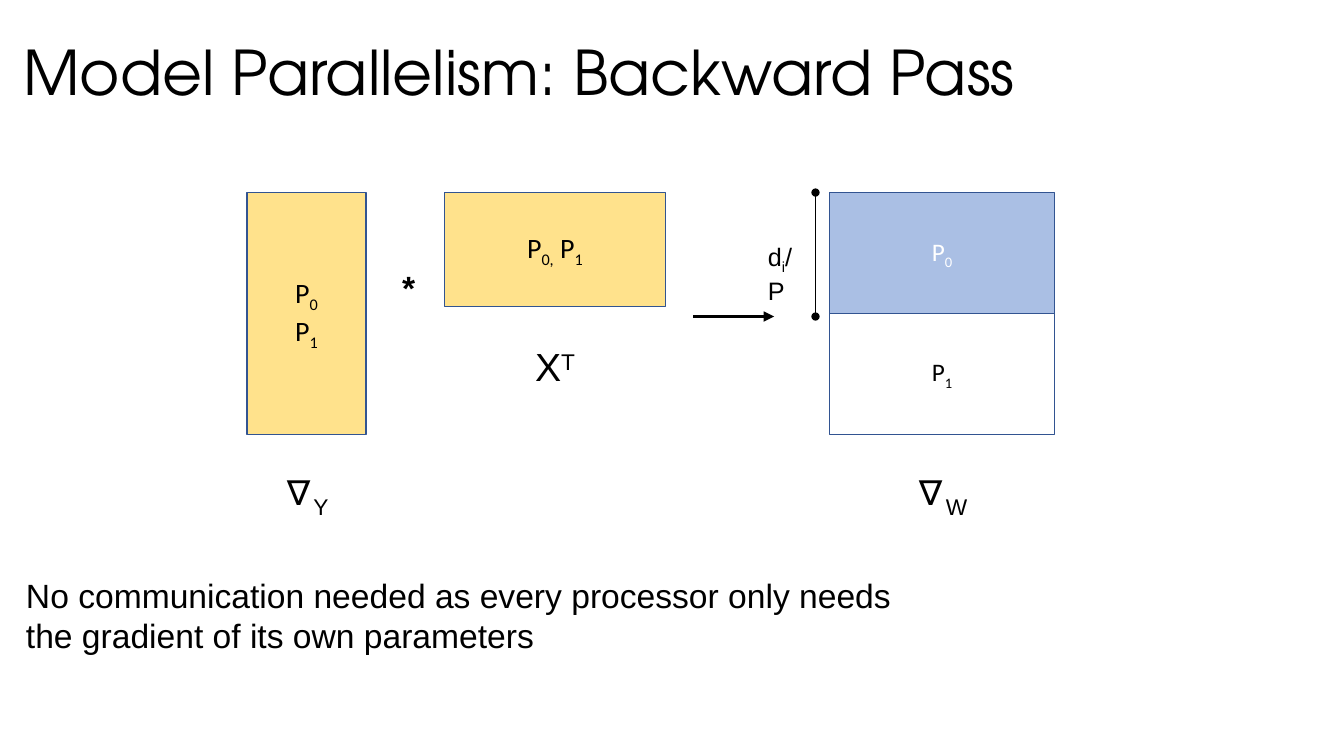
import pptx
import pptx.util
import pptx.dml.color
import pptx.enum.shapes
import pptx.enum.text
import pptx.oxml
import pptx.oxml.ns
from lxml import etree

BLACK, WHITE, YELLOW, BLUE, OUTLINE = "000000", "FFFFFF", "FFC000", "4472C4", "325491"
SUB, SUP = -25, 30

# Content: each paragraph is a list of (text, baseline shift in percent)
TITLE = [[("Model Parallelism: Backward Pass", 0)]]
NOTE = [[("No communication needed as every processor only needs "
          "the gradient of its own parameters", 0)]]
P0 = [("P", 0), ("0", SUB)]
P1 = [("P", 0), ("1", SUB)]
BOTH = [[("P", 0), ("0,", SUB), (" P", 0), ("1", SUB)]]
TIMES = [[("*", 0)]]
SHARE = [[("d", 0), ("i", SUB), ("/P", 0)]]

# Layout, in percent of the slide's width and height
TOP, HEIGHT = 25.47, 32
HALF = HEIGHT / 2
GRAD_Y = (18.38, TOP, 8.85, HEIGHT)
X_T = (33.08, TOP, 16.43, 15.07)
GRAD_W0 = (61.73, TOP, 16.73, HALF)
GRAD_W1 = (61.73, TOP + HALF, 16.73, HALF)
ARROW_Y = 41.87
BRACKET_X = 60.68

# area, paragraphs, size, fill, text colour
MATRICES = [
    (X_T, BOTH, 20, YELLOW, BLACK),
    (GRAD_Y, [P0, P1], 20, YELLOW, BLACK),
    (GRAD_W0, [P0], 18, BLUE, WHITE),
    (GRAD_W1, [P1], 18, None, BLACK),
]
# matrix above, label top, label width, paragraphs
LABELS = [
    (X_T, 44.67, 5.18, [[("X", 0), ("T", SUP)]]),
    (GRAD_Y, 61.07, 5.18, [[("∇", 0), ("Y", SUB)]]),
    (GRAD_W0, 61.07, 6.75, [[("∇", 0), ("W", SUB)]]),
]
LABEL_HEIGHT = 7.6
# start, end, line width, start mark, end mark
LINES = [
    ((51.6, ARROW_Y), (57.6, ARROW_Y), 2.5, None, "triangle"),
    ((BRACKET_X, TOP), (BRACKET_X, ARROW_Y), 0.5, "oval", "oval"),
]

deck = pptx.Presentation()
deck.slide_width = pptx.util.Inches(13.333)
deck.slide_height = pptx.util.Inches(7.5)
slide = deck.slides.add_slide(deck.slide_layouts[6])
CENTER = pptx.enum.text.PP_ALIGN.CENTER
MIDDLE = pptx.enum.text.MSO_ANCHOR.MIDDLE


def color(hex_value):
    return pptx.dml.color.RGBColor.from_string(hex_value)


def across(share):
    return round(deck.slide_width * share / 100)


def down(share):
    return round(deck.slide_height * share / 100)


def place(area):
    left, top, width, height = area
    return across(left), down(top), across(width), down(height)


def sub_element(parent, tag, **attributes):
    return etree.SubElement(parent, pptx.oxml.ns.qn(tag), **attributes)


def write(frame, paragraphs, size, font="Arial", ink=BLACK, align=None, bold=False):
    frame.word_wrap = True
    for number, pieces in enumerate(paragraphs):
        paragraph = frame.paragraphs[0] if number == 0 else frame.add_paragraph()
        paragraph.alignment = align
        for text, shift in pieces:
            run = paragraph.add_run()
            run.text = text
            run.font.size = pptx.util.Pt(size)
            run.font.name = font
            run.font.bold = bold
            run.font.color.rgb = color(ink)
            if shift:
                run.font._element.set("baseline", str(shift * 1000))
    return paragraph


def add_text(area, paragraphs, size, **style):
    frame = slide.shapes.add_textbox(*place(area)).text_frame
    write(frame, paragraphs, size, **style)
    return frame


# Title
title = add_text((0.98, 0.27, 88.58, 19.33), TITLE, 44, font="TeX Gyre Adventor")
title.vertical_anchor = MIDDLE
title.paragraphs[0].line_spacing = 0.9

# Matrices
for area, paragraphs, size, fill, ink in MATRICES:
    matrix = slide.shapes.add_shape(pptx.enum.shapes.MSO_SHAPE.RECTANGLE, *place(area))
    matrix.shadow.inherit = False
    matrix.line.color.rgb = color(OUTLINE)
    matrix.line.width = pptx.util.Pt(1)
    if fill:
        matrix.fill.solid()
        matrix.fill.fore_color.rgb = color(fill)
        tint = matrix._element.spPr.find(".//" + pptx.oxml.ns.qn("a:srgbClr"))
        sub_element(tint, "a:alpha", val="45000")
    else:
        matrix.fill.background()
    matrix.text_frame.vertical_anchor = MIDDLE
    write(matrix.text_frame, paragraphs, size, font="Calibri", ink=ink, align=CENTER)

# Labels centred below the matrices
for (left, _, width, _), top, label_width, paragraphs in LABELS:
    label_left = left + (width - label_width) / 2
    add_text((label_left, top, label_width, LABEL_HEIGHT), paragraphs, 28, align=CENTER)

# Operator, row share and closing note
times = add_text((29.18, 34.67, 2.78, 6.67), TIMES, 24, bold=True)
times.word_wrap = False
add_text((56.4, 31.2, 4.5, 5.33), SHARE, 18)
add_text((1.2, 75.33, 69.15, 12.13), NOTE, 24)

# Result arrow and row bracket
for start, end, width, start_mark, end_mark in LINES:
    link = slide.shapes.add_connector(
        pptx.enum.shapes.MSO_CONNECTOR.STRAIGHT,
        across(start[0]), down(start[1]), across(end[0]), down(end[1]))
    link.line.color.rgb = color(BLACK)
    link.line.width = pptx.util.Pt(width)
    stroke = link.line._get_or_add_ln()
    for tag, mark in (("a:headEnd", start_mark), ("a:tailEnd", end_mark)):
        if mark:
            sub_element(stroke, tag, type=mark)
    sub_element(link._element.spPr, "a:effectLst")

deck.save("out.pptx")
